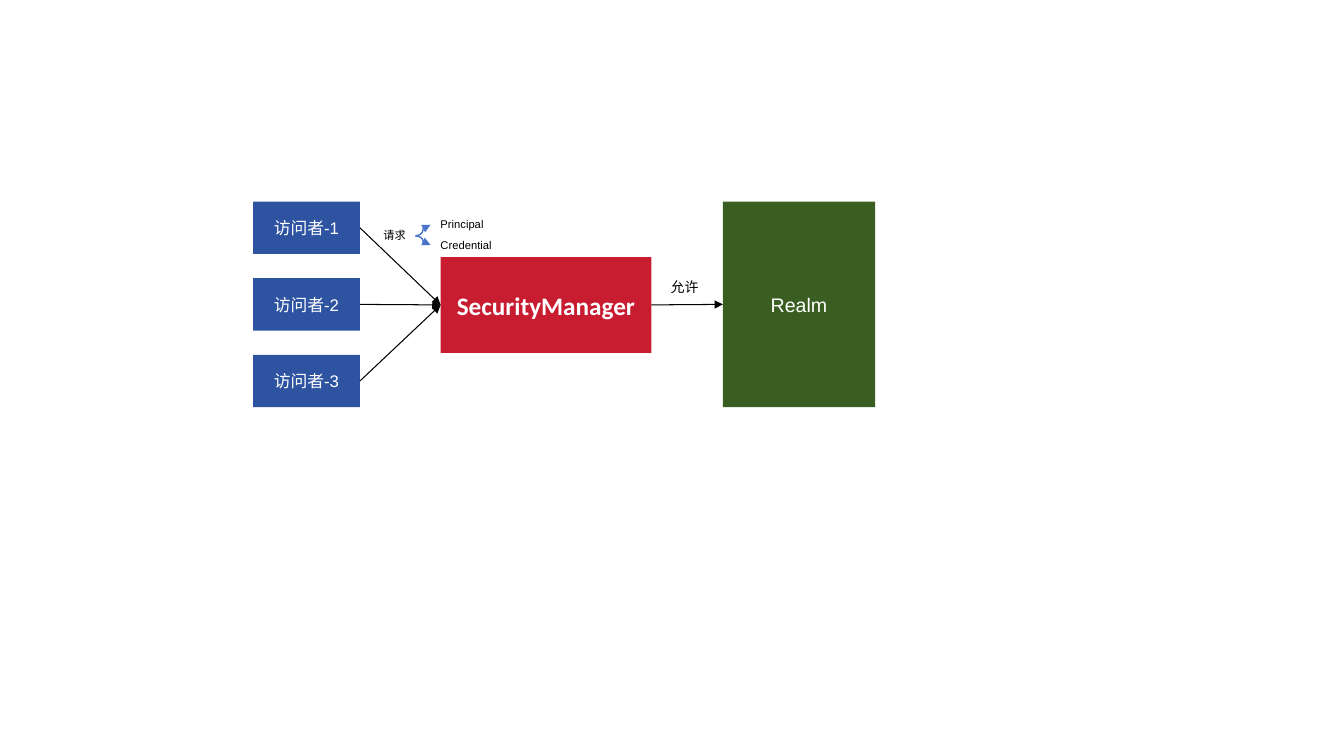
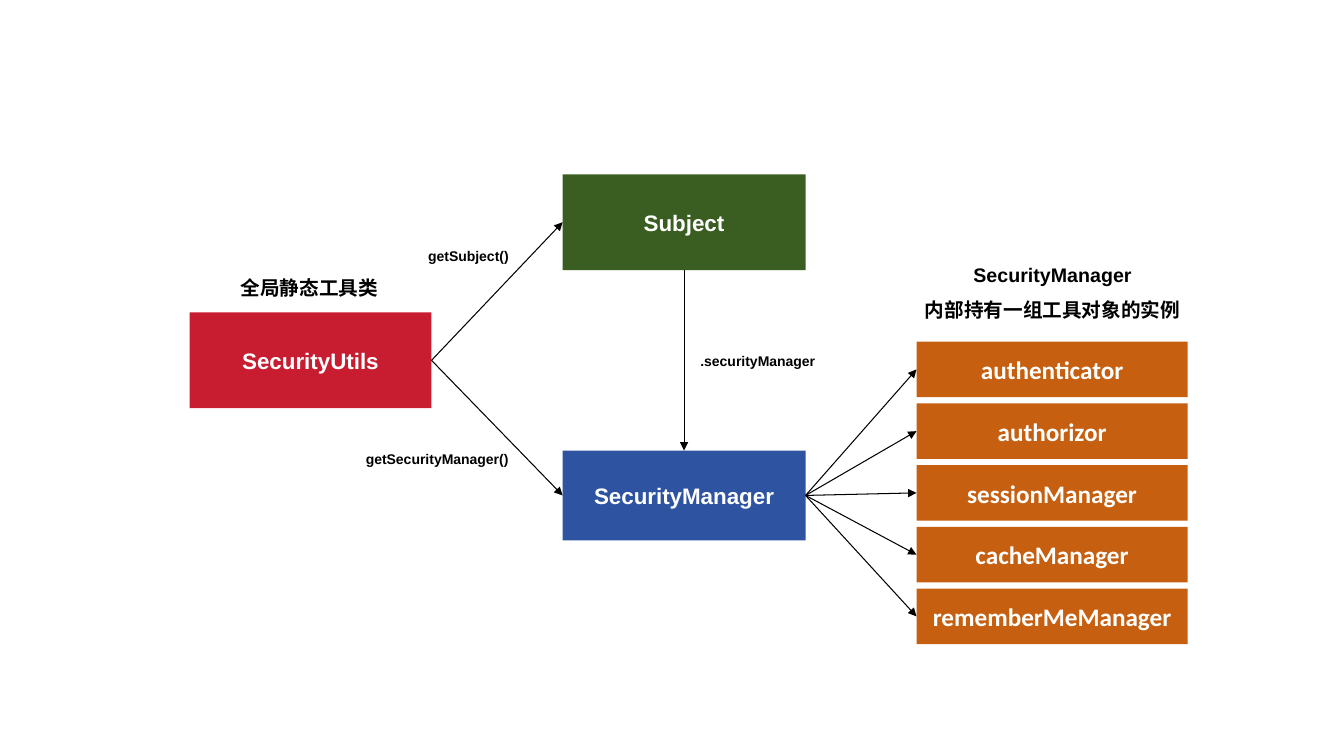
"""Builds two diagrams of a security framework: request flow and manager structure."""
import pptx
import pptx.util
import pptx.dml.color
import pptx.enum.shapes
import pptx.enum.text
import pptx.oxml
import pptx.oxml.ns

RGB = pptx.dml.color.RGBColor
Inches, Pt = pptx.util.Inches, pptx.util.Pt
KIND = pptx.enum.shapes.MSO_CONNECTOR
ALIGN = pptx.enum.text.PP_ALIGN

BLUE = RGB(0x2E, 0x54, 0xA1)
RED = RGB(0xC8, 0x1D, 0x31)
GREEN = RGB(0x3A, 0x5E, 0x21)
ORANGE = RGB(0xC6, 0x5F, 0x10)
SKY = RGB(0x48, 0x74, 0xCB)
BLACK = RGB(0, 0, 0)
WHITE = RGB(255, 255, 255)
TOP, LEFT, BOTTOM, RIGHT = range(4)

GUESTS = ["访问者-1", "访问者-2", "访问者-3"]
TOOLS = ["authenticator", "authorizor", "sessionManager", "cacheManager", "rememberMeManager"]
FLOW_NOTES = [
    ("请求", (3.7, 2.16, 0.43, 0.35), 8, ALIGN.CENTER),
    ("允许", (6.47, 2.67, 0.64, 0.35), 10, ALIGN.CENTER),
    ("Principal", (4.27, 2.05, 0.75, 0.35), 8, ALIGN.LEFT),
    ("Credential", (4.27, 2.26, 0.75, 0.35), 8, ALIGN.LEFT),
]
CALL_NOTES = [
    ("getSubject()", (3.95, 2.36, 1.39, 0.35), 10),
    ("getSecurityManager()", (3.33, 4.38, 2.01, 0.35), 10),
    (".securityManager", (6.51, 3.41, 2.01, 0.35), 10),
    ("全局静态工具类", (1.97, 2.5, 2.2, 0.7), 14),
]
HEADING = "SecurityManager\n内部持有一组工具对象的实例"


def write(shape, text, size, color, bold=False, font="Arial", align=ALIGN.CENTER, space=None):
    """Put styled text in a shape."""
    frame = shape.text_frame
    frame.text = text
    frame.word_wrap = True
    frame.vertical_anchor = pptx.enum.text.MSO_ANCHOR.MIDDLE
    for para in frame.paragraphs:
        para.alignment = align
        para.line_spacing = space
        for run in para.runs:
            run.font.size, run.font.bold, run.font.name = Pt(size), bold, font
            run.font.color.rgb = color


def box(slide, text, area, fill, size, bold=True, font="Arial"):
    """Add a filled rectangle with white text."""
    shape = slide.shapes.add_shape(pptx.enum.shapes.MSO_SHAPE.RECTANGLE, *map(Inches, area))
    shape.shadow.inherit = False
    shape.fill.solid()
    shape.fill.fore_color.rgb = fill
    shape.line.fill.background()
    write(shape, text, size, WHITE, bold, font)
    return shape


def note(slide, text, area, size, align=ALIGN.CENTER, bold=False, space=None):
    """Add a black text label."""
    label = slide.shapes.add_textbox(*map(Inches, area))
    write(label, text, size, BLACK, bold, align=align, space=space)


def arrow(slide, ends, kind=KIND.STRAIGHT, color=BLACK, width=0.75):
    """Add a connector with an arrowhead at its end."""
    link = slide.shapes.add_connector(kind, *map(Inches, ends))
    link.line.color.rgb = color
    link.line.width = Pt(width)
    tail = pptx.oxml.parse_xml(f'<a:tailEnd {pptx.oxml.ns.nsdecls("a")} type="triangle"/>')
    link.line._get_or_add_ln().append(tail)
    link._element.spPr.append(pptx.oxml.parse_xml(f'<a:effectLst {pptx.oxml.ns.nsdecls("a")}/>'))
    return link


def join(slide, start, end, out=RIGHT, into=LEFT):
    """Draw an arrow from one box's side to another's."""
    link = arrow(slide, (0, 0, 0, 0))
    link.begin_connect(start, out)
    link.end_connect(end, into)


def flow(slide):
    """Draw the request flow."""
    guard = box(slide, "SecurityManager", (4.37, 2.55, 2.09, 0.95), RED, 18, font="Calibri")
    realm = box(slide, "Realm", (7.17, 2, 1.51, 2.04), GREEN, 14, False)
    for row, name in enumerate(GUESTS):
        guest = box(slide, name, (2.51, 2 + 0.76 * row, 1.06, 0.52), BLUE, 12, False)
        join(slide, guest, guard)
    join(slide, guard, realm)
    for item in FLOW_NOTES:
        note(slide, *item)
    for goal in (2.23, 2.43):
        arrow(slide, (4.12, 2.34, 4.27, goal), KIND.CURVE, SKY, 1)


def parts(slide):
    """Draw the manager and the tools it holds."""
    utils = box(slide, "SecurityUtils", (1.88, 3.1, 2.4, 0.95), RED, 16)
    subject = box(slide, "Subject", (5.58, 1.73, 2.41, 0.95), GREEN, 16)
    guard = box(slide, "SecurityManager", (5.58, 4.47, 2.41, 0.89), BLUE, 16)
    join(slide, utils, subject)
    join(slide, utils, guard)
    join(slide, subject, guard, BOTTOM, TOP)
    pitch = 2.45 / (len(TOOLS) - 1)
    for row, name in enumerate(TOOLS):
        tool = box(slide, name, (9.09, 3.39 + pitch * row, 2.69, 0.55), ORANGE, 18, font="Calibri")
        join(slide, guard, tool)
    for item in CALL_NOTES:
        note(slide, *item, bold=True)
    note(slide, HEADING, (9.03, 2.49, 2.82, 0.7), 14, bold=True, space=1.5)


def main():
    """Build and save the deck."""
    deck = pptx.Presentation()
    deck.slide_width, deck.slide_height = Inches(13.33), Inches(7.5)
    for draw in (flow, parts):
        draw(deck.slides.add_slide(deck.slide_layouts[6]))
    deck.save("out.pptx")


if __name__ == "__main__":
    main()
